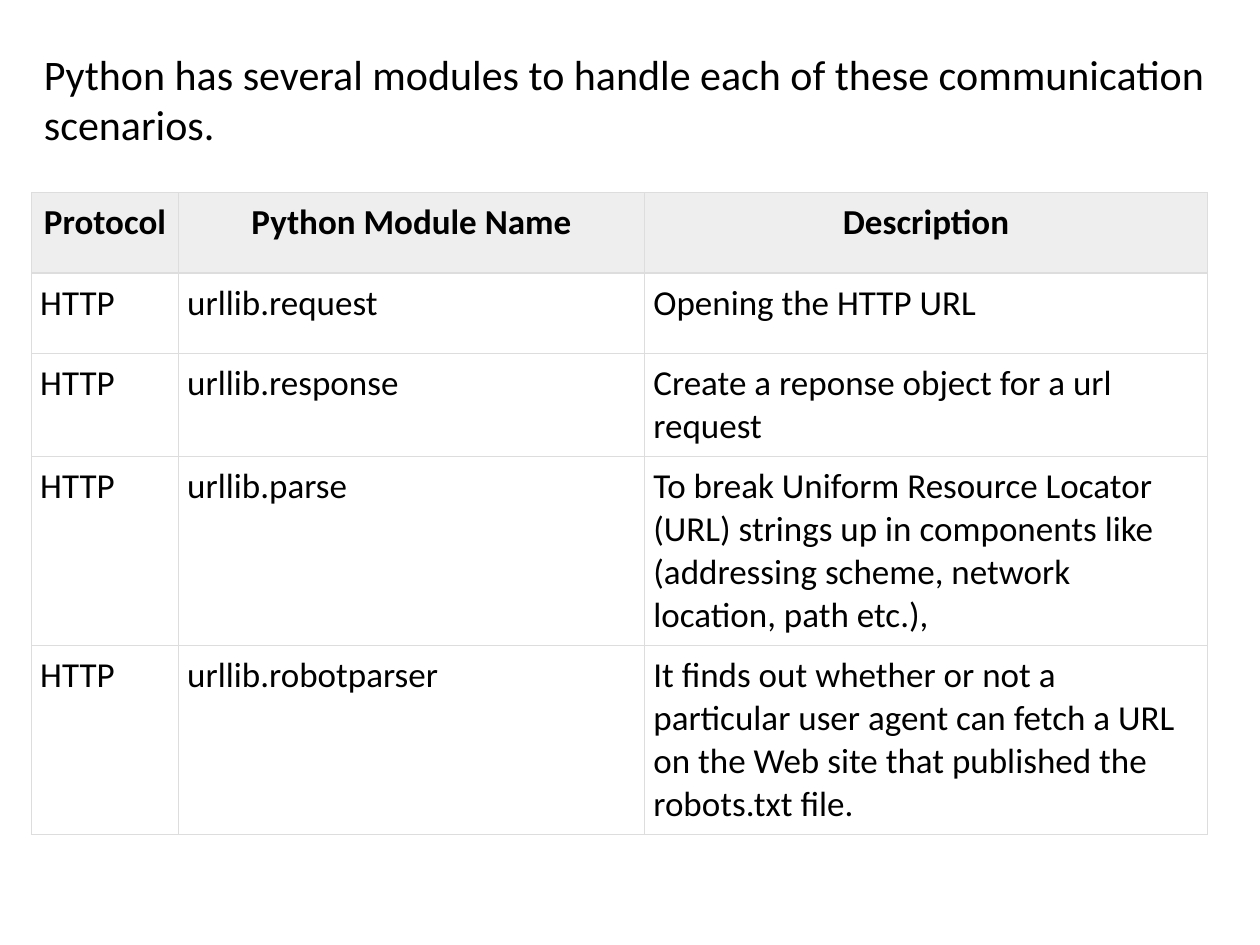
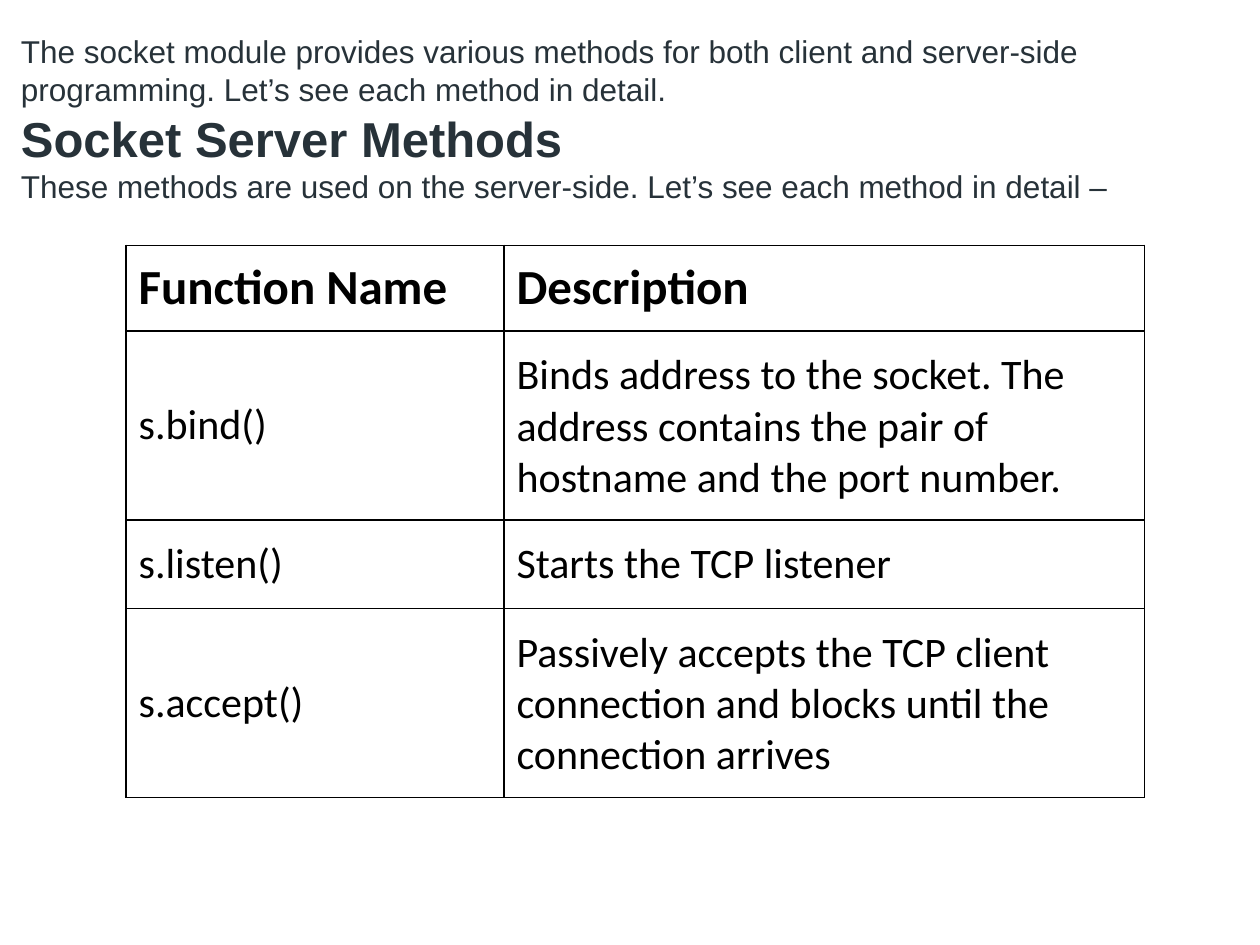
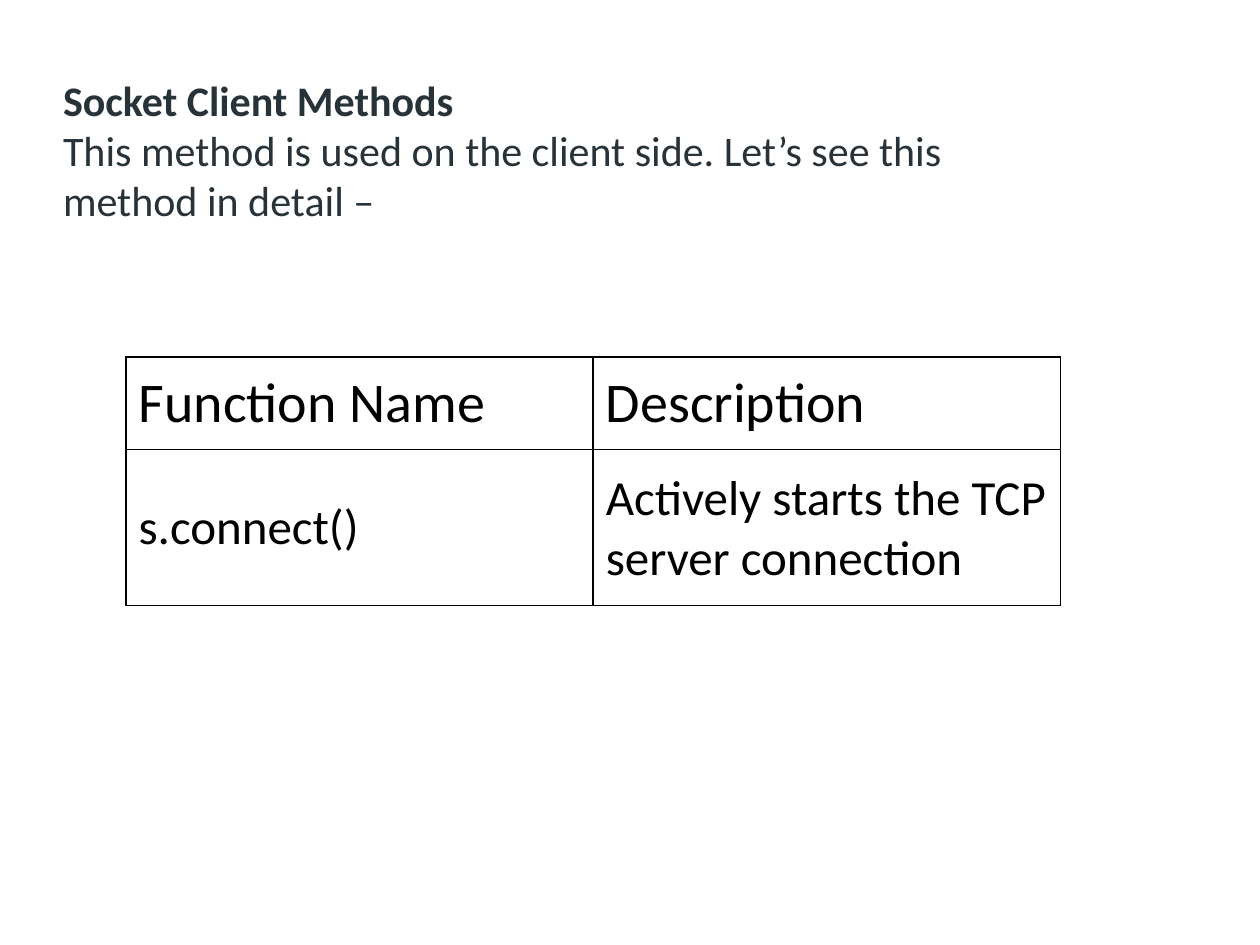
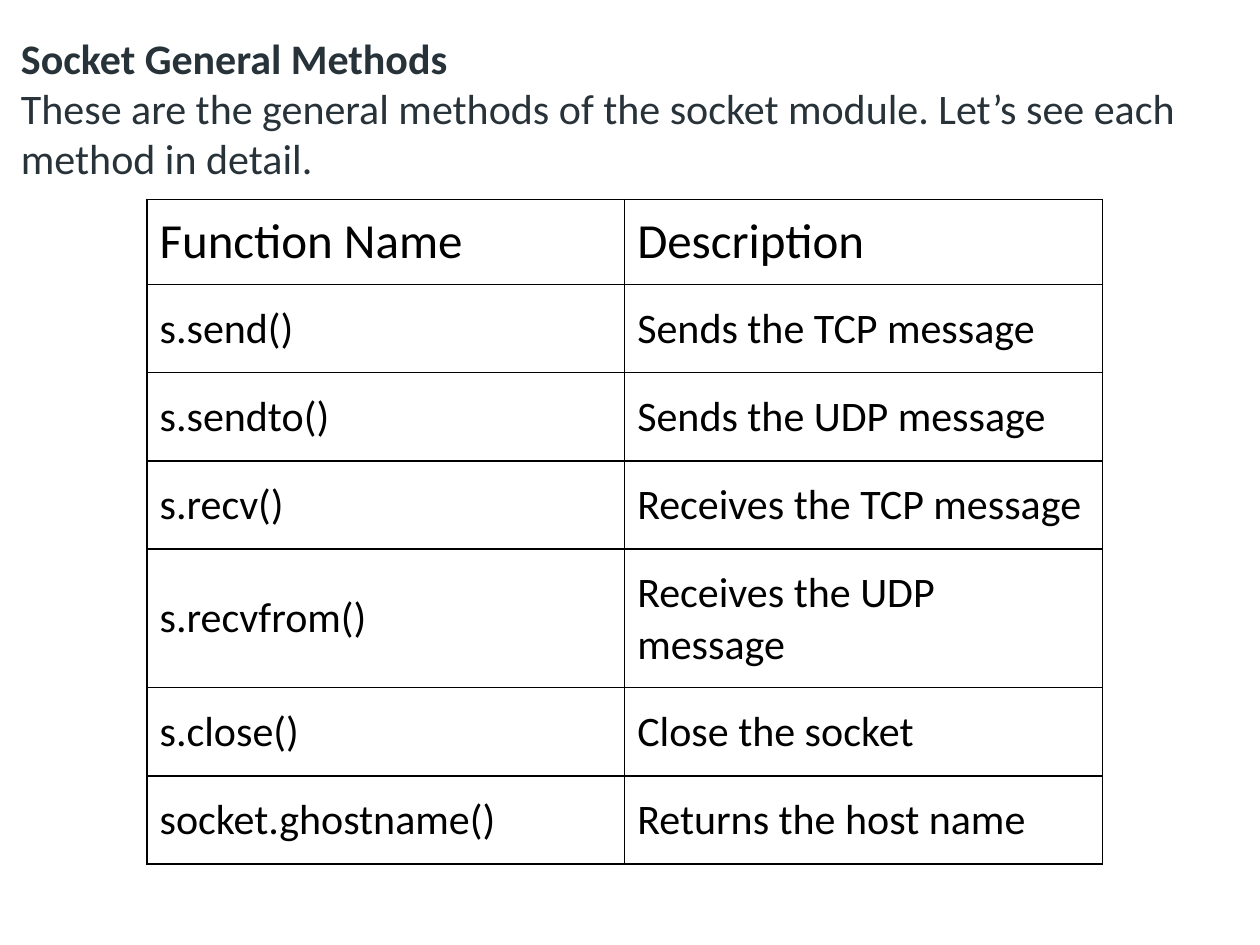
from dataclasses import dataclass
from lxml.etree import SubElement
from pptx import Presentation
from pptx.dml.color import RGBColor
from pptx.enum.shapes import MSO_SHAPE
from pptx.enum.text import MSO_ANCHOR, MSO_AUTO_SIZE, PP_ALIGN
from pptx.oxml.ns import qn
from pptx.util import Pt


@dataclass(frozen=True)
class Theme:
    black: str = "000000"
    slate: str = "273239"
    white: str = "FFFFFF"
    header_gray: str = "EEEEEE"
    border_gray: str = "DDDDDD"
    body_font: str = "Calibri"
    plain_font: str = "Arial"
    small: int = 18
    compact: int = 20
    body: int = 24
    large: int = 28
    huge: int = 32


theme = Theme()

MODULE_TABLE = {
    "header_size": theme.compact, "body_size": theme.compact,
    "header_bold": True, "header_align": PP_ALIGN.CENTER,
    "header_fill": theme.header_gray, "anchor": MSO_ANCHOR.TOP,
    "side_inset": 5, "header_inset": 5, "body_inset": 5,
    "border": theme.border_gray, "border_width": 0.75,
}
METHOD_TABLE = {
    "header_size": theme.large, "body_size": theme.body,
    "header_bold": False, "header_align": PP_ALIGN.LEFT,
    "header_fill": None, "anchor": MSO_ANCHOR.MIDDLE,
    "side_inset": 7.2, "header_inset": 7.2, "body_inset": 10.8,
    "border": theme.black, "border_width": 1,
}
METHOD_HEADER = ("Function Name", "Description")

SLIDES = [
    {
        "intro_box": (18, 24, 684, 65.5),
        "panel": False,
        "intro": [("Python has several modules to handle each of these communication scenarios.",
                   theme.body, False)],
        "font": theme.body_font,
        "table_at": (18, 110),
        "columns": (84, 266.4, 321.6),
        "row_heights": (46, 46, 58, 106, 106),
        "style": MODULE_TABLE,
        "rows": [
            ("Protocol", "Python Module Name", "Description"),
            ("HTTP", "urllib.request", "Opening the HTTP URL"),
            ("HTTP", "urllib.response", "Create a reponse object for a url request"),
            ("HTTP", "urllib.parse",
             "To break Uniform Resource Locator (URL) strings up in components like "
             "(addressing scheme, network location, path etc.),"),
            ("HTTP", "urllib.robotparser",
             "It finds out whether or not a particular user agent can fetch a URL "
             "on the Web site that published the robots.txt file."),
        ],
    },
    {
        "intro_box": (12, 18, 696, 99.5),
        "panel": True,
        "intro": [
            ("The socket module provides various methods for both client and server-side "
             "programming. Let’s see each method in detail.", theme.small, False),
            ("Socket Server Methods", theme.large, True),
            ("These methods are used on the server-side. Let’s see each method in detail –",
             theme.small, False),
        ],
        "font": theme.plain_font,
        "table_at": (72, 140.2),
        "columns": (216, 366),
        "row_heights": (49, 107, 50, 107),
        "style": METHOD_TABLE | {"header_bold": True},
        "rows": [
            METHOD_HEADER,
            ("s.bind()", "Binds address to the socket. The address contains the pair of "
                         "hostname and the port number."),
            ("s.listen()", "Starts the TCP listener"),
            ("s.accept()", "Passively accepts the TCP client connection and blocks until "
                           "the connection arrives"),
        ],
    },
    {
        "intro_box": (36, 42, 558, 87),
        "panel": True,
        "intro": [
            ("Socket Client Methods", theme.body, True),
            ("This method is used on the client side. Let’s see this method in detail –",
             theme.body, False),
        ],
        "font": theme.body_font,
        "table_at": (72, 204),
        "columns": (267, 267),
        "row_heights": (53, 88.5),
        "style": METHOD_TABLE | {"header_size": theme.huge, "body_size": theme.large},
        "rows": [
            METHOD_HEADER,
            ("s.connect()", "Actively starts the TCP server connection"),
        ],
    },
    {
        "intro_box": (12, 18, 690, 87),
        "panel": True,
        "intro": [
            ("Socket General Methods", theme.body, True),
            ("These are the general methods of the socket module. Let’s see each method in detail.",
             theme.body, False),
        ],
        "font": theme.body_font,
        "table_at": (84, 114),
        "columns": (273, 273),
        "row_heights": (48.5, 50, 50, 50, 78.5, 50, 50),
        "style": METHOD_TABLE,
        "rows": [
            METHOD_HEADER,
            ("s.send()", "Sends the TCP message"),
            ("s.sendto()", "Sends the UDP message"),
            ("s.recv()", "Receives the TCP message"),
            ("s.recvfrom()", "Receives the UDP message"),
            ("s.close()", "Close the socket"),
            ("socket.ghostname()", "Returns the host name"),
        ],
    },
]


def apply(target, values):
    for name, value in values.items():
        setattr(target, name, value)


def write(paragraph, text, size, bold, color, font, align=PP_ALIGN.LEFT):
    paragraph.alignment = align
    run = paragraph.add_run()
    run.text = text
    apply(run.font, {"name": font, "size": Pt(size), "bold": bold})
    run.font.color.rgb = RGBColor.from_string(color)


def add_borders(cell, color, width):
    properties = cell._tc.get_or_add_tcPr()
    for position, side in enumerate(("lnL", "lnR", "lnT", "lnB")):
        line = SubElement(properties, qn(f"a:{side}"), w=str(Pt(width)))
        fill = SubElement(line, qn("a:solidFill"))
        SubElement(fill, qn("a:srgbClr"), val=color)
        properties.insert(position, line)


def add_intro(slide, content):
    box = [Pt(length) for length in content["intro_box"]]
    if content["panel"]:
        shape = slide.shapes.add_shape(MSO_SHAPE.RECTANGLE, *box)
        shape.shadow.inherit = False
        shape.fill.solid()
        shape.fill.fore_color.rgb = RGBColor.from_string(theme.white)
        shape.line.fill.background()
        color, inset, anchor = theme.slate, (0, 0), MSO_ANCHOR.MIDDLE
    else:
        shape = slide.shapes.add_textbox(*box)
        color, inset, anchor = theme.black, (7.2, 3.6), MSO_ANCHOR.TOP
    side, edge = map(Pt, inset)
    frame = shape.text_frame
    apply(frame, {
        "word_wrap": True, "auto_size": MSO_AUTO_SIZE.SHAPE_TO_FIT_TEXT,
        "vertical_anchor": anchor, "margin_left": side, "margin_right": side,
        "margin_top": edge, "margin_bottom": edge,
    })
    for index, (text, size, bold) in enumerate(content["intro"]):
        paragraph = frame.add_paragraph() if index else frame.paragraphs[0]
        write(paragraph, text, size, bold, color, content["font"])


def add_grid(slide, content):
    rows, columns, heights = (content[key] for key in ("rows", "columns", "row_heights"))
    left, top = content["table_at"]
    style = content["style"]
    table = slide.shapes.add_table(
        len(rows), len(columns), Pt(left), Pt(top), Pt(sum(columns)), Pt(sum(heights))).table
    apply(table, {"first_row": False, "horz_banding": False})
    for column, width in zip(table.columns, columns):
        column.width = Pt(width)
    for row_index, (row, height, texts) in enumerate(zip(table.rows, heights, rows)):
        row.height = Pt(height)
        header = row_index == 0
        part = "header" if header else "body"
        side, edge = Pt(style["side_inset"]), Pt(style[f"{part}_inset"])
        for cell, text in zip(row.cells, texts):
            apply(cell, {
                "vertical_anchor": style["anchor"], "margin_left": side,
                "margin_right": side, "margin_top": edge, "margin_bottom": edge,
            })
            if header and style["header_fill"]:
                cell.fill.solid()
                cell.fill.fore_color.rgb = RGBColor.from_string(style["header_fill"])
            else:
                cell.fill.background()
            add_borders(cell, style["border"], style["border_width"])
            write(cell.text_frame.paragraphs[0], text, style[f"{part}_size"],
                  header and style["header_bold"], theme.black, theme.body_font,
                  style["header_align"] if header else PP_ALIGN.LEFT)


presentation = Presentation()
apply(presentation, {"slide_width": Pt(720), "slide_height": Pt(540)})
for content in SLIDES:
    slide = presentation.slides.add_slide(presentation.slide_layouts[6])
    add_grid(slide, content)
    add_intro(slide, content)
presentation.save("out.pptx")
